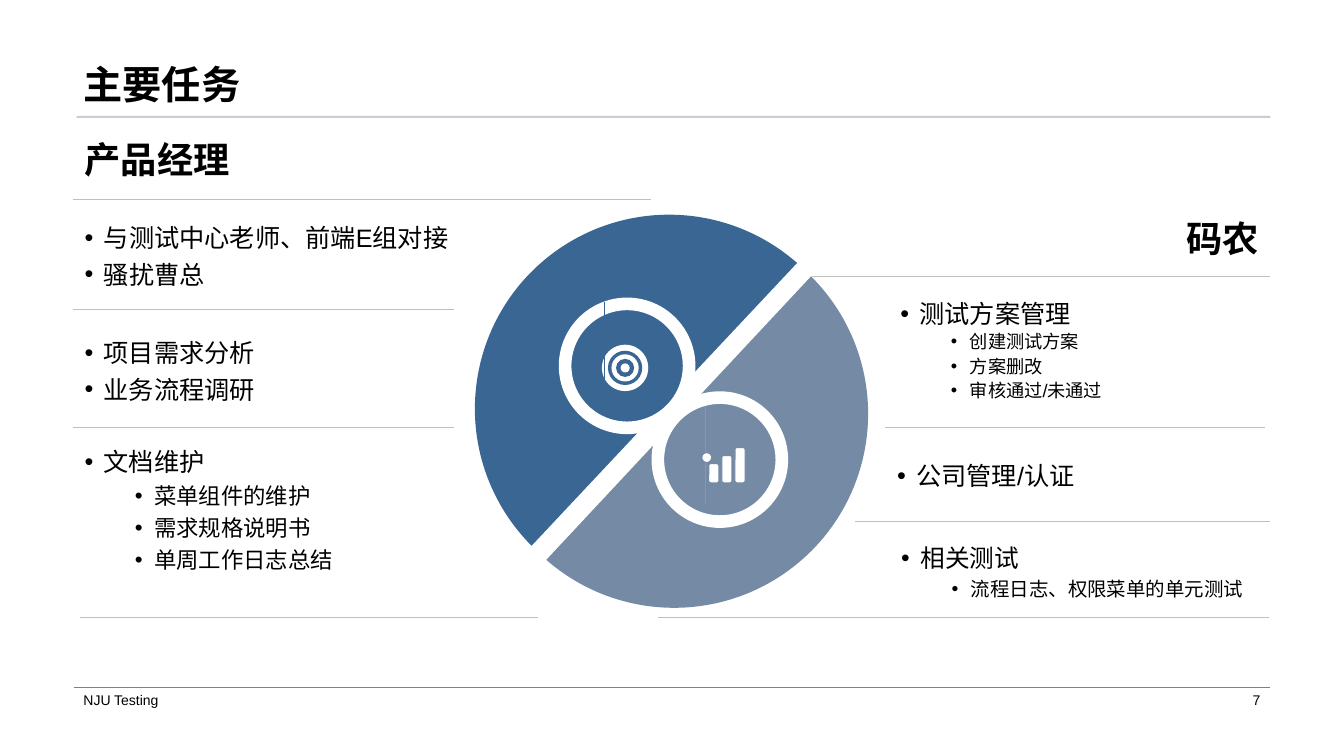
import math
from dataclasses import dataclass

from lxml import etree
from pptx import Presentation
from pptx import util as u
from pptx.dml.color import RGBColor
from pptx.enum import shapes, text
from pptx.oxml import ns

BLACK = RGBColor(0x00, 0x00, 0x00)
WHITE = RGBColor(0xFF, 0xFF, 0xFF)
BLUE = RGBColor(0x39, 0x66, 0x92)
SLATE = RGBColor(0x75, 0x8A, 0xA4)
TITLE_RULE = RGBColor(0xC9, 0xCE, 0xD5)
LIST_RULE = RGBColor(0xBF, 0xBF, 0xBF)
FOOTER_RULE = RGBColor(0x80, 0x80, 0x80)
SHAPE = shapes.MSO_SHAPE
LEFT, RIGHT = text.PP_ALIGN.LEFT, text.PP_ALIGN.RIGHT
TOP, MIDDLE, BOTTOM = text.MSO_ANCHOR.TOP, text.MSO_ANCHOR.MIDDLE, text.MSO_ANCHOR.BOTTOM


@dataclass
class Area:
    left: float
    top: float
    width: float
    height: float

    def lengths(self) -> list:
        return [u.Inches(n) for n in (self.left, self.top, self.width, self.height)]


@dataclass
class Label:
    words: str
    area: Area
    size: float
    bold: bool = False
    align: text.PP_ALIGN = LEFT
    anchor: text.MSO_ANCHOR = MIDDLE
    spacing: float = 1.0
    holder: int | None = None


@dataclass
class TaskList:
    area: Area
    heads: list[str]
    details: list[str]
    size: float = 18
    detail_size: float = 16
    spacing: float = 1.2
    holder: int | None = None


@dataclass
class Rule:
    start: float
    end: float
    y: float
    color: RGBColor = LIST_RULE
    weight: float = 0.25


@dataclass
class Gear:
    x: float
    y: float
    outer: float
    root: float
    hole: float


LABELS = [
    Label("主要任务", Area(0.73, 0, 11.87, 1.12), 28, True, anchor=BOTTOM, spacing=0.9, holder=0),
    Label("产品经理", Area(0.74, 1.38, 3.76, 0.48), 25.9, True, spacing=0.8, holder=1),
    Label("码农", Area(8.83, 2.16, 3.76, 0.48), 25.9, True, RIGHT, spacing=0.8, holder=3),
    Label("NJU Testing", Area(0.73, 6.83, 4.53, 0.23), 10),
    Label("7", Area(9.42, 6.83, 3.18, 0.23), 10, align=RIGHT),
]
TASKS = [
    TaskList(Area(0.74, 2.1, 4.52, 0.92), ["与测试中心老师、前端E组对接", "骚扰曹总"], [], holder=2),
    TaskList(Area(0.74, 3.24, 3.76, 1.13), ["项目需求分析", "业务流程调研"], []),
    TaskList(Area(0.74, 4.32, 3.76, 1.5), ["文档维护"],
             ["菜单组件的维护", "需求规格说明书", "单周工作日志总结"]),
    TaskList(Area(8.83, 2.88, 3.76, 1.21), ["测试方案管理"],
             ["创建测试方案", "方案删改", "审核通过/未通过"], 18, 13, 1.1, holder=4),
    TaskList(Area(8.8, 4.46, 3.76, 0.79), ["公司管理/认证"], []),
    TaskList(Area(8.84, 5.28, 3.76, 0.76), ["相关测试"], ["流程日志、权限菜单的单元测试"], 17.6, 13.9),
]
RULES = [
    Rule(0.73, 12.6, 6.82, FOOTER_RULE, 0.5),
    Rule(0.72, 6.46, 1.98), Rule(0.72, 4.5, 3.07), Rule(0.72, 4.5, 4.24), Rule(0.79, 5.34, 6.12),
    Rule(8.05, 12.6, 2.74), Rule(8.78, 12.55, 4.24), Rule(8.48, 12.6, 5.17), Rule(6.53, 12.59, 6.12),
]
GEARS = [Gear(7.01, 4.54, 0.115, 0.085, 0.055), Gear(7.26, 4.41, 0.09, 0.065, 0.025)]
ARROW = [(6.41, 3.39), (6.41, 3.44), (6.46, 3.44), (6.4, 3.51), (6.38, 3.51),
         (6.25, 3.64), (6.21, 3.6), (6.34, 3.47), (6.34, 3.45)]


def paint(shape, fill: RGBColor, edge: RGBColor | None = None, weight: float = 0) -> None:
    shape.shadow.inherit = False
    shape.fill.solid()
    shape.fill.fore_color.rgb = fill
    if edge is None:
        shape.line.fill.background()
    else:
        shape.line.color.rgb = edge
        shape.line.width = u.Pt(weight)


def add_preset(page, kind, area: Area, fill: RGBColor, edge: RGBColor | None = None,
               weight: float = 0, adjust: tuple = (), turn: float = 0) -> None:
    shape = page.shapes.add_shape(kind, *area.lengths())
    paint(shape, fill, edge, weight)
    shape.rotation = turn
    for index, value in enumerate(adjust):
        shape.adjustments[index] = value


def add_disc(page, x: float, y: float, radius: float, fill: RGBColor,
             edge: RGBColor | None = None, weight: float = 0) -> None:
    area = Area(x - radius, y - radius, 2 * radius, 2 * radius)
    add_preset(page, SHAPE.OVAL, area, fill, edge, weight)


def add_outline(page, points: list, fill: RGBColor, edge: RGBColor | None = None,
                weight: float = 0) -> None:
    builder = page.shapes.build_freeform(*points[0], scale=u.Inches(1))
    builder.add_line_segments(points[1:], close=True)
    paint(builder.convert_to_shape(), fill, edge, weight)


def add_rule(page, rule: Rule) -> None:
    ends = [u.Inches(n) for n in (rule.start, rule.y, rule.end, rule.y)]
    line = page.shapes.add_connector(shapes.MSO_CONNECTOR.STRAIGHT, *ends)
    line.line.color.rgb = rule.color
    line.line.width = u.Pt(rule.weight)
    etree.SubElement(line._element.spPr, ns.qn("a:effectLst"))


def text_box(page, area: Area, holder: int | None, anchor: text.MSO_ANCHOR):
    if holder is None:
        box = page.shapes.add_textbox(*area.lengths())
    else:
        box = page.placeholders[holder]
        box.left, box.top, box.width, box.height = area.lengths()
    frame = box.text_frame
    settings = {"word_wrap": True, "auto_size": text.MSO_AUTO_SIZE.NONE, "vertical_anchor": anchor}
    for name, value in settings.items():
        setattr(frame, name, value)
    return frame


def write(para, words: str, size: float, bold: bool, align: text.PP_ALIGN, spacing: float) -> None:
    layout = {"alignment": align, "line_spacing": spacing,
              "space_before": u.Pt(0), "space_after": u.Pt(0)}
    for name, value in layout.items():
        setattr(para, name, value)
    span = para.add_run()
    span.text = words
    for name, value in {"name": "Arial", "size": u.Pt(size), "bold": bold}.items():
        setattr(span.font, name, value)
    span.font.color.rgb = BLACK


def add_label(page, label: Label) -> None:
    frame = text_box(page, label.area, label.holder, label.anchor)
    write(frame.paragraphs[0], label.words, label.size, label.bold, label.align, label.spacing)


def add_tasks(page, tasks: TaskList) -> None:
    frame = text_box(page, tasks.area, tasks.holder, TOP)
    entries = [(words, 0, tasks.size) for words in tasks.heads]
    entries += [(words, 1, tasks.detail_size) for words in tasks.details]
    for index, (words, level, size) in enumerate(entries):
        para = frame.add_paragraph() if index else frame.paragraphs[0]
        para.level = level
        write(para, words, size, False, LEFT, tasks.spacing)
        props = para._p.get_or_add_pPr()
        props.set("marL", str(u.Inches(0.19 + 0.5 * level)))
        props.set("indent", str(u.Inches(-0.19)))
        etree.SubElement(props, ns.qn("a:buFont")).set("typeface", "Arial")
        etree.SubElement(props, ns.qn("a:buChar")).set("char", "•")


def add_gear(page, gear: Gear, teeth: int = 6) -> None:
    points = []
    for tooth in range(teeth):
        middle = 360 * tooth / teeth - 90
        for offset, radius in ((-18, gear.root), (-12, gear.outer), (12, gear.outer),
                               (18, gear.root), (30, gear.root)):
            angle = math.radians(middle + offset)
            points.append((gear.x + radius * math.cos(angle), gear.y + radius * math.sin(angle)))
    add_outline(page, points, WHITE)
    add_disc(page, gear.x, gear.y, gear.hole, SLATE)


def add_emblem(page) -> None:
    add_preset(page, SHAPE.CHORD, Area(4.71, 2.13, 3.85, 3.85), BLUE, adjust=(55.18, 160.92), turn=43.1)
    add_preset(page, SHAPE.CHORD, Area(4.76, 2.18, 3.85, 3.85), SLATE, adjust=(163.08, 52.82), turn=43.1)
    add_disc(page, 7.14, 4.56, 0.615, SLATE, WHITE, 9)
    add_disc(page, 6.22, 3.63, 0.615, BLUE, WHITE, 9)
    for radius, fill in ((0.23, WHITE), (0.17, BLUE), (0.135, WHITE), (0.09, BLUE), (0.045, WHITE)):
        add_disc(page, 6.2, 3.65, radius, fill)
    add_outline(page, ARROW, WHITE, BLUE, 0.75)
    for gear in GEARS:
        add_gear(page, gear)
    add_disc(page, GEARS[0].x, GEARS[0].y, 0.043, WHITE)
    for step in range(3):
        height = 0.19 + 0.08 * step
        bar = Area(7.03 + 0.13 * step, 4.79 - height, 0.1, height)
        add_preset(page, SHAPE.ROUNDED_RECTANGLE, bar, WHITE, SLATE, 0.75, (0.2,))


def main() -> None:
    deck = Presentation()
    deck.slide_width, deck.slide_height = u.Inches(13.33), u.Inches(7.5)
    page = deck.slides.add_slide(deck.slide_layouts[4])
    add_preset(page, SHAPE.RECTANGLE, Area(0.76, 1.15, 11.84, 0.02), TITLE_RULE)
    for rule in RULES:
        add_rule(page, rule)
    add_emblem(page)
    for label in LABELS:
        add_label(page, label)
    for tasks in TASKS:
        add_tasks(page, tasks)
    deck.save("out.pptx")


if __name__ == "__main__":
    main()
